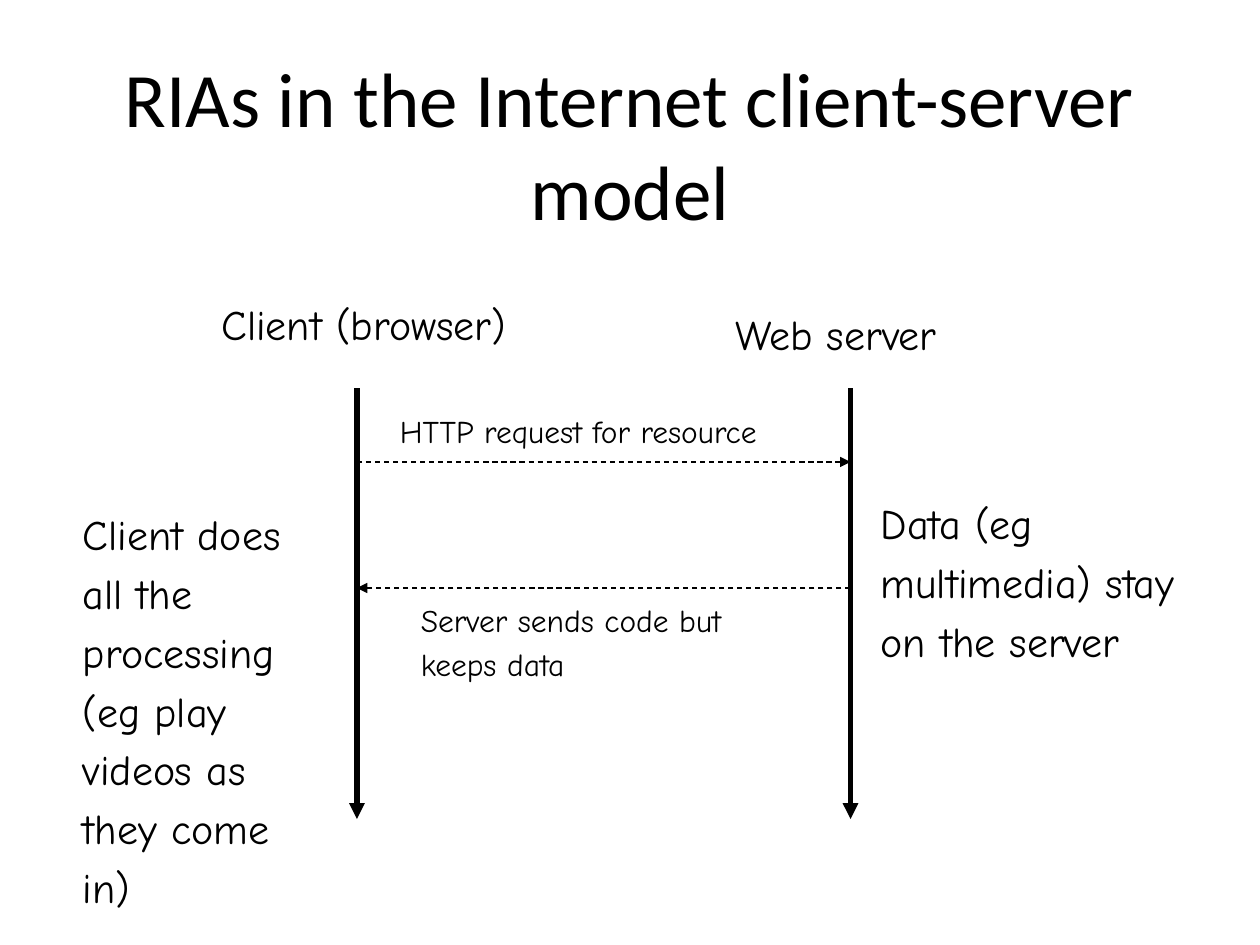
"""Build the slide on Rich Internet Applications in the client-server model."""
from lxml.etree import SubElement
from pptx import Presentation
from pptx.dml.color import RGBColor
from pptx.enum.dml import MSO_LINE_DASH_STYLE as Dash
from pptx.enum.shapes import MSO_CONNECTOR as Connector
from pptx.enum.text import MSO_ANCHOR as Anchor, MSO_AUTO_SIZE as AutoSize, PP_ALIGN as Align
from pptx.oxml.ns import qn
from pptx.util import Inches, Pt

BLACK = RGBColor(0x00, 0x00, 0x00)
COLUMNS, ROWS = 120, 90
CLIENT, SERVER = 34, 81
START, REQUEST, RESPONSE, END = 37, 44, 56, 78

deck = Presentation()
deck.slide_width, deck.slide_height = Inches(10), Inches(7.5)
column, row = deck.slide_width / COLUMNS, deck.slide_height / ROWS
slide = deck.slides.add_slide(deck.slide_layouts[5])


def write(shape, text, size=24, font="Comic Neue", align=Align.LEFT, anchor=Anchor.TOP,
          spacing=1.17, wrap=True, fit=AutoSize.SHAPE_TO_FIT_TEXT, top_inset=0.05):
    """Put formatted text into a shape."""
    frame = shape.text_frame
    frame.text = text
    frame.word_wrap, frame.auto_size, frame.vertical_anchor = wrap, fit, anchor
    frame.margin_left = frame.margin_right = Inches(0.09)
    frame.margin_top, frame.margin_bottom = Inches(top_inset), Inches(0.05)
    paragraph = frame.paragraphs[0]
    paragraph.alignment, paragraph.line_spacing = align, spacing
    style = paragraph.runs[0].font
    style.name, style.size, style.color.rgb = font, Pt(size), BLACK


title = slide.shapes.title
title.left, title.top = int(9 * column), int(4 * row)
title.width, title.height = int(102 * column), int(19 * row)
write(title, "RIAs in the Internet client-server model", size=44, font="Calibri",
      align=Align.CENTER, anchor=Anchor.MIDDLE, spacing=None, fit=AutoSize.NONE, top_inset=0.07)

arrows = [
    (CLIENT, START, CLIENT, END, 3, Dash.SOLID),
    (CLIENT, REQUEST, SERVER, REQUEST, 0.75, Dash.DASH),
    (SERVER, START, SERVER, END, 3, Dash.SOLID),
    (SERVER, RESPONSE, CLIENT, RESPONSE, 0.75, Dash.DASH),
]
for x1, y1, x2, y2, weight, dash in arrows:
    arrow = slide.shapes.add_connector(Connector.STRAIGHT, int(x1 * column), int(y1 * row),
                                       int(x2 * column), int(y2 * row))
    arrow.line.color.rgb, arrow.line.width = BLACK, Pt(weight)
    arrow.line.dash_style = dash
    SubElement(arrow.line._get_or_add_ln(), qn("a:tailEnd"), type="triangle")
    SubElement(arrow._element.spPr, qn("a:effectLst"))

labels = [
    ("Client (browser)", 20, 27, 32.5, 6.8, 24, False),
    ("Web server", 69, 28, 24.4, 6.8, 24, False),
    ("Client does all the processing (eg play videos as they come in)", 6.8, 47, 23.2, 41.6, 24, True),
    ("Data (eg multimedia) stay on the server", 82.8, 46, 35.2, 18.1, 24, True),
    ("HTTP request for resource", 37, 38, 40.8, 5.4, 18, False),
    ("Server sends code but keeps data", 39, RESPONSE, 38.2, 9.6, 18, True),
]
for text, left, top, width, height, size, wrap in labels:
    label = slide.shapes.add_textbox(int(left * column), int(top * row),
                                     int(width * column), int(height * row))
    write(label, text, size=size, wrap=wrap)

deck.save("out.pptx")
